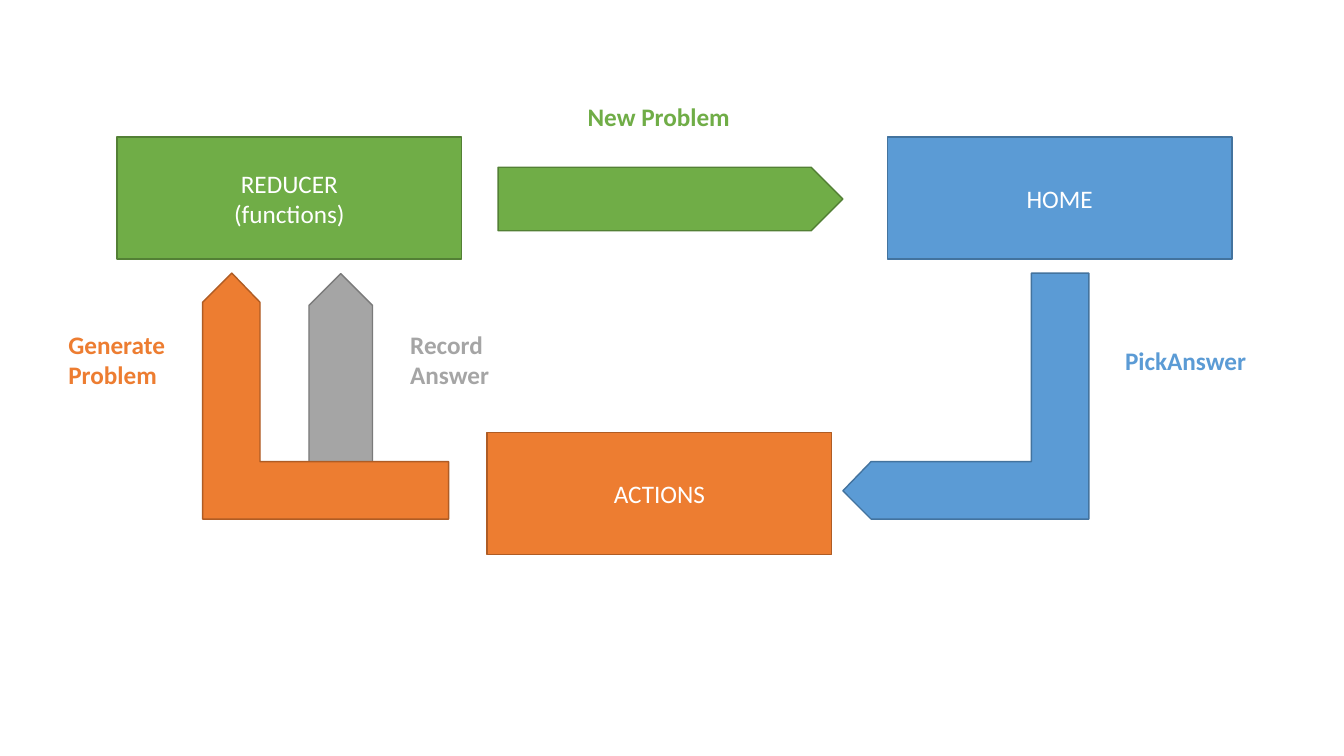
import pptx
import pptx.util
import pptx.dml.color
import pptx.enum.shapes
import pptx.enum.text

Inches = pptx.util.Inches
Pt = pptx.util.Pt
KIND = pptx.enum.shapes.MSO_SHAPE
ALIGN = pptx.enum.text.PP_ALIGN

COLORS = {
    "green": "70AD47", "green_edge": "538035",
    "blue": "5B9BD5", "blue_edge": "43739E",
    "orange": "ED7D31", "orange_edge": "AF5C24",
    "gray": "A5A5A5", "gray_edge": "7A7A7A",
    "white": "FFFFFF",
}
BOX_W, BOX_H = 3.42, 1.21


def color(name):
    return pptx.dml.color.RGBColor.from_string(COLORS[name])


def paint(shape, hue):
    shape.shadow.inherit = False
    shape.fill.solid()
    shape.fill.fore_color.rgb = color(hue)
    shape.line.color.rgb = color(hue + "_edge")
    shape.line.width = Pt(1)


def write(frame, lines, hue, align, bold):
    for i, line in enumerate(lines):
        para = frame.paragraphs[0] if i == 0 else frame.add_paragraph()
        para.text = line
        para.alignment = align
        para.font.name = "Calibri"
        para.font.size = Pt(18)
        para.font.bold = bold
        para.font.color.rgb = color(hue)


def add_box(slide, left, top, lines, hue):
    box = slide.shapes.add_shape(
        KIND.RECTANGLE, Inches(left), Inches(top), Inches(BOX_W), Inches(BOX_H))
    paint(box, hue)
    box.text_frame.vertical_anchor = pptx.enum.text.MSO_ANCHOR.MIDDLE
    write(box.text_frame, lines, "white", ALIGN.CENTER, False)


def add_arrow(slide, left, top, width, hue, turn=0):
    arrow = slide.shapes.add_shape(
        KIND.PENTAGON, Inches(left), Inches(top), Inches(width), Inches(0.63))
    arrow.rotation = turn
    paint(arrow, hue)


def add_elbow(slide, points, hue):
    spots = [(Inches(x), Inches(y)) for x, y in points]
    pen = slide.shapes.build_freeform(*spots[0])
    pen.add_line_segments(spots[1:], close=True)
    paint(pen.convert_to_shape(), hue)


def add_label(slide, left, top, width, height, lines, hue):
    label = slide.shapes.add_textbox(
        Inches(left), Inches(top), Inches(width), Inches(height))
    frame = label.text_frame
    frame.word_wrap = False
    frame.auto_size = pptx.enum.text.MSO_AUTO_SIZE.SHAPE_TO_FIT_TEXT
    write(frame, lines, hue, ALIGN.LEFT, True)


def main():
    deck = pptx.Presentation()
    deck.slide_width = Inches(13.33)
    deck.slide_height = Inches(7.5)
    slide = deck.slides.add_slide(deck.slide_layouts[6])

    add_arrow(slide, 2.37, 3.41, 2.02, "gray", 270)
    add_box(slide, 8.8, 1.36, ["HOME"], "blue")
    add_elbow(slide, [(10.23, 2.71), (10.8, 2.71), (10.8, 5.15), (8.64, 5.15),
                      (8.36, 4.87), (8.64, 4.58), (10.23, 4.58)], "blue")
    add_label(slide, 11.06, 3.38, 1.41, 0.4, ["PickAnswer"], "blue")
    add_box(slide, 4.83, 4.29, ["ACTIONS"], "orange")
    add_elbow(slide, [(4.45, 4.58), (4.45, 5.15), (2.01, 5.15), (2.01, 3),
                      (2.3, 2.71), (2.58, 3), (2.58, 4.58)], "orange")
    add_label(slide, 0.58, 3.22, 1.17, 0.71, ["Generate", "Problem"], "orange")
    add_label(slide, 3.97, 3.22, 0.99, 0.71, ["Record", "Answer"], "gray")
    add_box(slide, 1.16, 1.36, ["REDUCER", "(functions)"], "green")
    add_arrow(slide, 4.94, 1.66, BOX_W, "green")
    add_label(slide, 5.73, 0.96, 1.62, 0.4, ["New Problem"], "green")

    deck.save("out.pptx")


if __name__ == "__main__":
    main()
